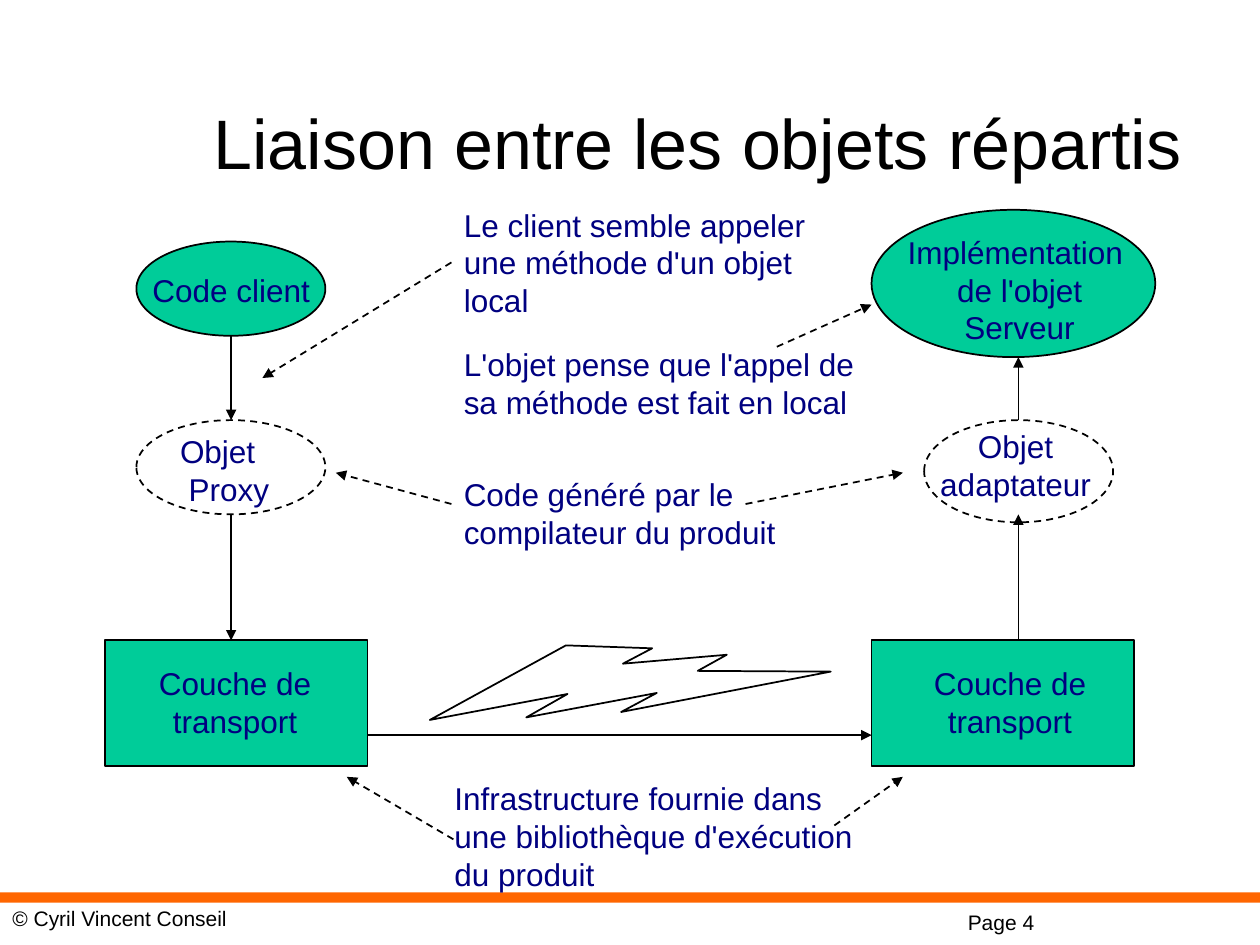
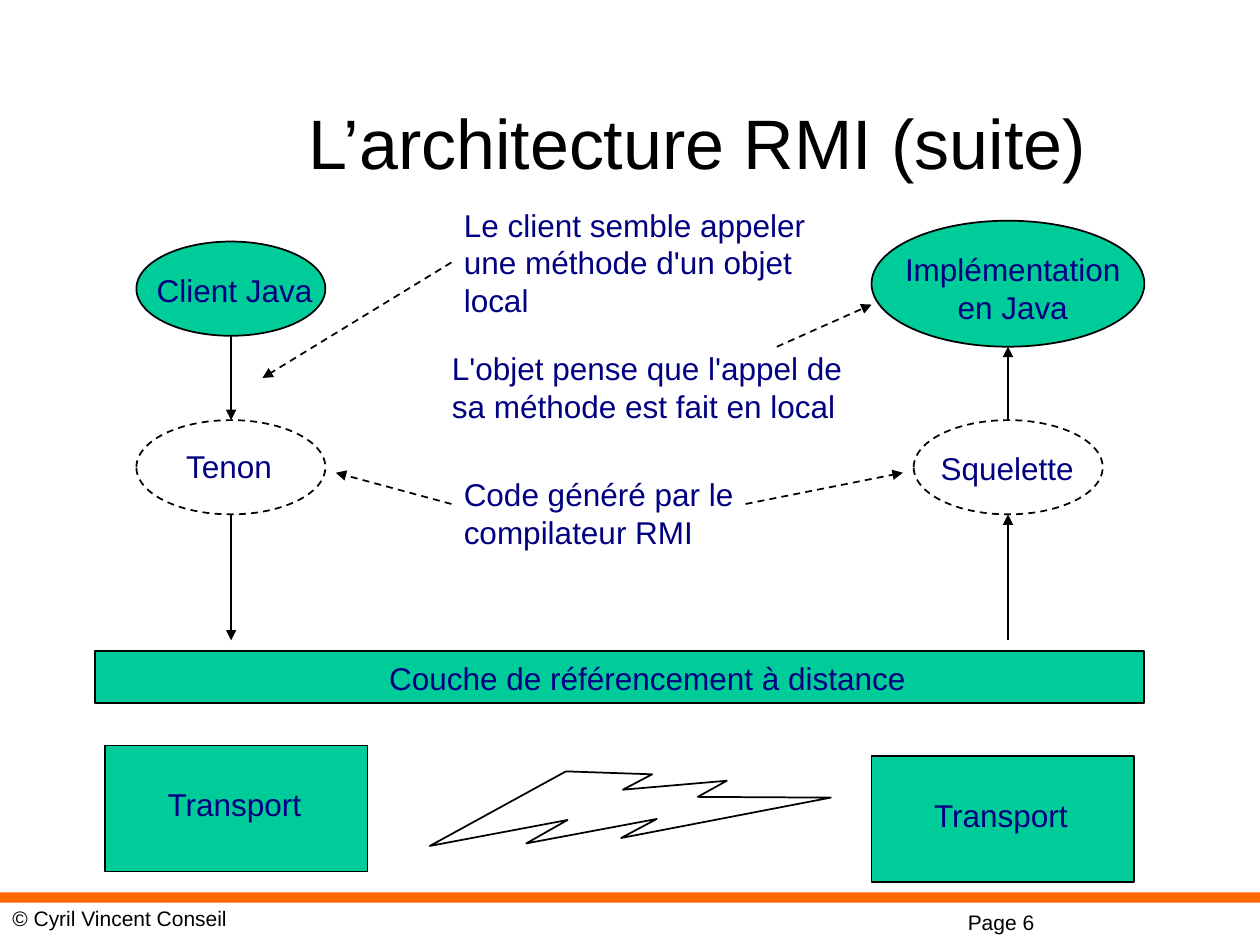
from pptx import Presentation
from pptx.dml.color import RGBColor
from pptx.enum.dml import MSO_LINE_DASH_STYLE as Dash
from pptx.enum.shapes import MSO_CONNECTOR as Connector, MSO_SHAPE as Shape
from pptx.enum.text import MSO_ANCHOR as Anchor, MSO_AUTO_SIZE as AutoSize, PP_ALIGN as Align
from pptx.oxml.ns import qn
from pptx.util import Cm, Pt
from lxml.etree import SubElement

BLACK = RGBColor(0x00, 0x00, 0x00)
NAVY = RGBColor(0x00, 0x00, 0x80)
GREEN = RGBColor(0x00, 0xCC, 0x99)
ORANGE = RGBColor(0xFF, 0x66, 0x00)
FONT = "Arial"

CLIENT_AXIS = 4.66
CLIENT_LEFT = 2.75
SERVER_LEFT = 17.57
NOTE_LEFT = 9.1
NODE = (3.81, 1.9)
BLOCK = (5.29, 2.54)
CLIENT_TOP = 4.87
PROXY_TOP = 8.47
PROXY_BOTTOM = 10.37
TRANSPORT_TOP = 12.91


def write_text(frame, text, size=18, color=NAVY, align=Align.LEFT,
               anchor=Anchor.TOP, wrap=True, fit=True):
    frame.text = text
    frame.word_wrap = wrap
    frame.vertical_anchor = anchor
    frame.auto_size = AutoSize.SHAPE_TO_FIT_TEXT if fit else AutoSize.NONE
    for paragraph in frame.paragraphs:
        paragraph.alignment = align
        paragraph.font.name = FONT
        paragraph.font.size = Pt(size)
        paragraph.font.color.rgb = color


class Deck:
    def __init__(self):
        self.presentation = Presentation()
        self.presentation.slide_width = Cm(25.4)
        self.presentation.slide_height = Cm(19.05)
        self.slide = None

    def start_slide(self, title, page):
        self.slide = self.presentation.slides.add_slide(self.presentation.slide_layouts[6])
        self.shape(Shape.RECTANGLE, 0, 17.99, 25.4, 0.21, fill=ORANGE, outline=False)
        self.text(f"Page {page}", 19.26, 18.21, 3.39, 0.77, size=12, color=BLACK)
        self.text("© Cyril Vincent Conseil", 0, 18.12, 9.53, 0.77, size=12, color=BLACK)
        self.text(title, 3.26, 1.27, 21.59, 3.18, size=40, color=BLACK,
                  align=Align.CENTER, anchor=Anchor.MIDDLE, fit=False)

    def shape(self, kind, left, top, width, height, fill=None, outline=True,
              dashed=False, rotation=0):
        shape = self.slide.shapes.add_shape(kind, Cm(left), Cm(top), Cm(width), Cm(height))
        shape.shadow.inherit = False
        shape.rotation = rotation
        if fill is None:
            shape.fill.background()
        else:
            shape.fill.solid()
            shape.fill.fore_color.rgb = fill
        if outline:
            self.style_line(shape.line, dashed)
        else:
            shape.line.fill.background()

    def style_line(self, line, dashed):
        line.color.rgb = BLACK
        line.width = Pt(1)
        if dashed:
            line.dash_style = Dash.DASH

    def text(self, text, left, top, width, height, **style):
        box = self.slide.shapes.add_textbox(Cm(left), Cm(top), Cm(width), Cm(height))
        write_text(box.text_frame, text, **style)

    def label(self, text, left, top, width, height=1.02, align=Align.CENTER, wrap=False):
        self.text(text, left, top, width, height, align=align, wrap=wrap)

    def arrow(self, start, end, dashed=False):
        connector = self.slide.shapes.add_connector(
            Connector.STRAIGHT, *(Cm(value) for value in (*start, *end)))
        self.style_line(connector.line, dashed)
        properties = connector.element.spPr
        SubElement(properties.find(qn("a:ln")), qn("a:tailEnd"), type="triangle")
        SubElement(properties, qn("a:effectLst"))

    def node(self, left, top, size=NODE, generated=False):
        self.shape(Shape.OVAL, left, top, *size,
                   fill=None if generated else GREEN, dashed=generated)

    def block(self, left, top, size=BLOCK):
        self.shape(Shape.RECTANGLE, left, top, *size, fill=GREEN)

    def bolt(self, top):
        self.shape(Shape.LIGHTNING_BOLT, 8.68, top, 7.9, 2.39, rotation=339.2)

    def client_column(self):
        self.node(CLIENT_LEFT, CLIENT_TOP)
        self.node(CLIENT_LEFT, PROXY_TOP, generated=True)
        self.arrow((CLIENT_AXIS, CLIENT_TOP + NODE[1]), (CLIENT_AXIS, PROXY_TOP))
        self.arrow((CLIENT_AXIS, PROXY_BOTTOM), (CLIENT_AXIS, TRANSPORT_TOP))

    def server_arrows(self, axis, server_bottom):
        self.arrow((axis, TRANSPORT_TOP), (axis, PROXY_BOTTOM))
        self.arrow((axis, PROXY_TOP), (axis, server_bottom))

    def call_notes(self, compiler, compiler_width, local_call_at):
        self.text("Le client semble appeler une méthode d'un objet local",
                  NOTE_LEFT, 4.02, 8.1, 2.54)
        self.text("L'objet pense que l'appel de\vsa méthode est fait en local",
                  *local_call_at, 9, 1.78)
        self.text(f"Code généré par le compilateur {compiler}",
                  NOTE_LEFT, 9.45, compiler_width, 1.78)
        for start, end in (
            ((NOTE_LEFT, 5.29), (5.29, 7.62)),
            ((15.66, 6.99), (SERVER_LEFT, 6.14)),
            ((15.03, 10.16), (18.2, 9.53)),
            ((NOTE_LEFT, 10.16), (6.77, 9.53)),
        ):
            self.arrow(start, end, dashed=True)


def build_distributed_objects(deck):
    deck.start_slide("Liaison entre les objets répartis", 4)
    deck.client_column()
    deck.label("Code client", 2.66, 5.33, 4)
    deck.label("Objet\n Proxy", 3.38, 8.59, 2.31, 1.78, align=Align.LEFT)

    deck.node(SERVER_LEFT, 4.23, (5.72, 2.97))
    deck.label("Implémentation \vde l'objet\vServeur", 18.04, 4.57, 5.03, 3.3)
    deck.node(18.63, PROXY_TOP, (3.81, 2.06), generated=True)
    deck.label(" Objet\n adaptateur", 18.52, 8.49, 3.73, 1.78, wrap=True)
    deck.server_arrows(20.53, 7.2)

    for block_left, label_left in ((2.12, 2.95), (SERVER_LEFT, 18.57)):
        deck.block(block_left, TRANSPORT_TOP)
        deck.label("Couche de\vtransport", label_left, 13.26, 3.58, 1.78)
    deck.arrow((7.41, 14.82), (SERVER_LEFT, 14.82))
    deck.bolt(12.63)

    deck.call_notes("du produit", 8.76, (NOTE_LEFT, 6.83))
    deck.text("Infrastructure fournie dans une bibliothèque d'exécution du produit",
              8.91, 15.58, 8.8, 2.54)
    deck.arrow((16.82, 16.64), (18.2, 15.66), dashed=True)
    deck.arrow((9.14, 16.92), (6.99, 15.66), dashed=True)


def build_rmi_architecture(deck):
    deck.start_slide("L’architecture RMI (suite)", 6)
    deck.client_column()
    deck.label("Client Java", 2.73, 5.33, 4)
    deck.label("Tenon", 2.83, 8.89, 3.58, wrap=True)

    deck.node(SERVER_LEFT, 4.45, (5.5, 2.54))
    deck.label("Implémentation en Java", 17.75, 4.91, 5.33, 1.78, wrap=True)
    deck.node(18.42, PROXY_TOP, generated=True)
    deck.label("Squelette", 18.45, 8.93, 3.71, wrap=True)
    deck.server_arrows(20.32, 6.99)

    deck.block(1.91, 13.13, (21.16, 1.05))
    deck.label(" Couche de référencement à distance", 7.42, 13.16, 11.1, align=Align.LEFT)
    for left, top, label_left in ((2.12, 15.03, 3.13), (SERVER_LEFT, 15.24, 18.58)):
        deck.block(left, top)
        deck.label("Transport", label_left, top + 0.68, 3.23, align=Align.LEFT)
    deck.bolt(15.17)

    deck.call_notes("RMI", 6.27, (8.86, 6.92))


def main():
    deck = Deck()
    build_distributed_objects(deck)
    build_rmi_architecture(deck)
    deck.presentation.save("out.pptx")


if __name__ == "__main__":
    main()
